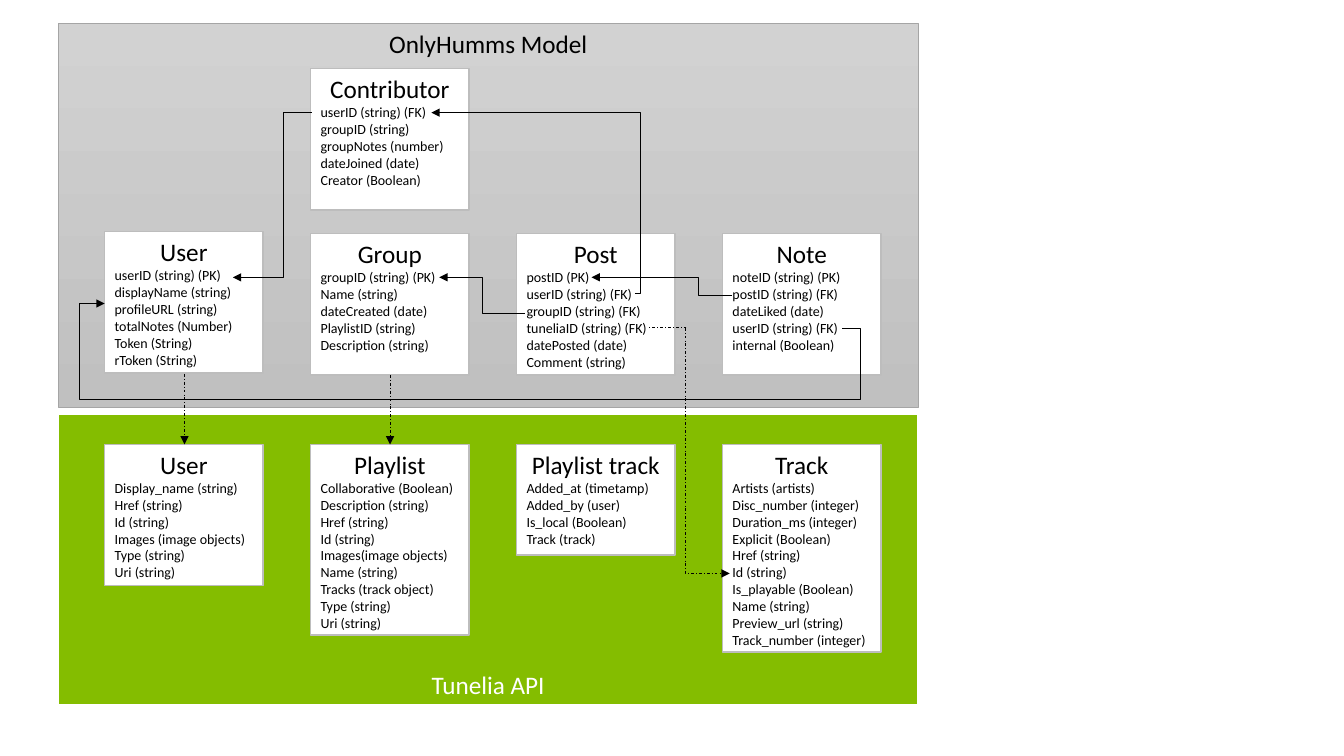
from dataclasses import dataclass

from lxml.etree import SubElement
from pptx import Presentation
from pptx.dml.color import RGBColor as Rgb
from pptx.enum.dml import MSO_LINE_DASH_STYLE as Dash
from pptx.enum.shapes import MSO_CONNECTOR_TYPE as Link, MSO_SHAPE as Preset
from pptx.enum.text import MSO_ANCHOR as Anchor, PP_ALIGN as Align
from pptx.oxml.ns import qn
from pptx.util import Cm, Pt


@dataclass(frozen=True)
class Theme:
    """Colours, font and type sizes of the diagram."""
    font: str = "Calibri"
    heading: int = 18
    field: int = 10
    black: Rgb = Rgb(0, 0, 0)
    white: Rgb = Rgb(255, 255, 255)
    green: Rgb = Rgb(0x84, 0xBD, 0x00)
    grey_top: Rgb = Rgb(0xD2, 0xD2, 0xD2)
    grey_bottom: Rgb = Rgb(0xC0, 0xC0, 0xC0)
    frame_line: Rgb = Rgb(0xA5, 0xA5, 0xA5)
    card_line: Rgb = Rgb(0xBD, 0xBD, 0xBD)


THEME = Theme()
FIRST_COLUMN, COLUMN_STEP, CARD_WIDTH = 2.64, 5.19, 3.99
MODEL_TOP, API_TOP, MODEL_HEIGHT = 5.89, 11.2, 3.56

# Column, top, height, heading, fields
CARDS = [
    (0, API_TOP, 3.56, "User",
     ["Display_name (string)", "Href (string)", "Id (string)",
      "Images (image objects)", "Type (string)", "Uri (string)"]),
    (1, API_TOP, 4.8, "Playlist",
     ["Collaborative (Boolean)", "Description (string)", "Href (string)",
      "Id (string)", "Images(image objects)", "Name (string)",
      "Tracks (track object)", "Type (string)", "Uri (string)"]),
    (3, API_TOP, 5.23, "Track",
     ["Artists (artists)", "Disc_number (integer)", "Duration_ms (integer)",
      "Explicit (Boolean)", "Href (string)", "Id (string)",
      "Is_playable (Boolean)", "Name (string)", "Preview_url (string)",
      "Track_number (integer)"]),
    (2, API_TOP, 2.79, "Playlist track",
     ["Added_at (timetamp)", "Added_by (user)", "Is_local (Boolean)",
      "Track (track)"]),
    (1, 1.73, MODEL_HEIGHT, "Contributor",
     ["userID (string) (FK)", "groupID (string)", "groupNotes (number)",
      "dateJoined (date)", "Creator (Boolean)"]),
    (1, MODEL_TOP, MODEL_HEIGHT, "Group",
     ["groupID (string) (PK)", "Name (string)", "dateCreated (date)",
      "PlaylistID (string)", "Description (string)"]),
    (3, MODEL_TOP, MODEL_HEIGHT, "Note",
     ["noteID (string) (PK)", "postID (string) (FK)", "dateLiked (date)",
      "userID (string) (FK)", "internal (Boolean)"]),
    (2, MODEL_TOP, MODEL_HEIGHT, "Post",
     ["postID (PK)", "userID (string) (FK)", "groupID (string) (FK)",
      "tuneliaID (string) (FK)", "datePosted (date)", "Comment (string)"]),
    (0, 5.84, MODEL_HEIGHT, "User",
     ["userID (string) (PK)", "displayName (string)", "profileURL (string)",
      "totalNotes (Number)", "Token (String)", "rToken (String)"]),
]

# Start, end, bend positions (x, y, x in turn), dashed, arrowhead
LINKS = [
    ((16, 7.39), (10.87, 2.84), [16.15], False, True),
    ((13.23, 7.9), (11.07, 6.99), [12.17], False, True),
    ((17.27, 8.26), (18.39, 14.45), [17.27], True, True),
    ((17.3, 8.26), (16.36, 8.26), [], True, False),
    ((18.44, 7.44), (14.91, 6.99), [17.6], False, True),
    ((21.23, 8.28), (2.64, 7.65), [21.69, 10.06, 2.01], False, True),
    ((4.65, 9.42), (4.65, API_TOP), [], True, True),
    ((7.14, 2.84), (5.87, 6.99), [7.14], False, True),
    ((7.14, 2.84), (7.87, 2.84), [], False, False),
    ((9.83, 9.45), (9.83, API_TOP), [], True, True),
]


def write_para(para, size, color, align):
    """Format one paragraph and its runs."""
    para.alignment = align
    for span in para.runs:
        span.font.name = THEME.font
        span.font.size = Pt(size)
        span.font.color.rgb = color


def add_box(page, left, top, width, height, lines, line_color, line_width,
            fill=None, color=THEME.black, anchor=Anchor.TOP):
    """Add a rectangle with a heading and fields; no fill means grey gradient."""
    box = page.shapes.add_shape(Preset.RECTANGLE, Cm(left), Cm(top),
                                Cm(width), Cm(height))
    box.shadow.inherit = False
    box.line.color.rgb = line_color
    box.line.width = Pt(line_width)
    if fill is None:
        box.fill.gradient()
        box.fill.gradient_angle = 270
        shades = (THEME.grey_top, THEME.grey_bottom)
        for stop, shade in zip(box.fill.gradient_stops, shades):
            stop.color.rgb = shade
    else:
        box.fill.solid()
        box.fill.fore_color.rgb = fill
    frame = box.text_frame
    frame.text = "\n".join(lines)
    frame.vertical_anchor = anchor
    heading, *fields = frame.paragraphs
    write_para(heading, THEME.heading, color, Align.CENTER)
    for para in fields:
        write_para(para, THEME.field, color, Align.LEFT)


def add_card(page, column, top, height, heading, fields):
    """Add one entity card in its column."""
    add_box(page, FIRST_COLUMN + column * COLUMN_STEP, top, CARD_WIDTH, height,
            [heading, *fields], THEME.card_line, 1, THEME.white)


def set_bends(geometry, start, end, bends):
    """Turn bend positions into the connector's adjustment values."""
    geometry.set("prst", f"bentConnector{len(bends) + 2}")
    guides = geometry.find(qn("a:avLst"))
    for index, bend in enumerate(bends):
        axis = index % 2
        share = (bend - start[axis]) / (end[axis] - start[axis])
        SubElement(guides, qn("a:gd"), name=f"adj{index + 1}",
                   fmla=f"val {round(share * 100000)}")


def add_link(page, start, end, bends, dashed, arrow):
    """Add a straight or bent connector between two points."""
    kind = Link.ELBOW if bends else Link.STRAIGHT
    link = page.shapes.add_connector(kind, *map(Cm, start + end))
    link.line.color.rgb = THEME.black
    link.line.width = Pt(0.5)
    if dashed:
        link.line.dash_style = Dash.DASH_DOT
    properties = link.element.spPr
    if bends:
        set_bends(properties.find(qn("a:prstGeom")), start, end, bends)
    if arrow:
        SubElement(properties.find(qn("a:ln")), qn("a:tailEnd"), type="triangle")
    SubElement(properties, qn("a:effectLst"))


def main():
    """Build the data model slide."""
    deck = Presentation()
    deck.slide_width, deck.slide_height = Cm(33.87), Cm(19.05)
    page = deck.slides.add_slide(deck.slide_layouts[6])
    add_box(page, 1.47, 0.58, 21.67, 9.68, ["OnlyHumms Model"],
            THEME.frame_line, 0.5)
    add_box(page, 1.47, 10.44, 21.67, 7.32, ["Tunelia API"], THEME.white, 1.5,
            THEME.green, THEME.white, Anchor.BOTTOM)
    for card in CARDS:
        add_card(page, *card)
    for link in LINKS:
        add_link(page, *link)
    deck.save("out.pptx")


main()
